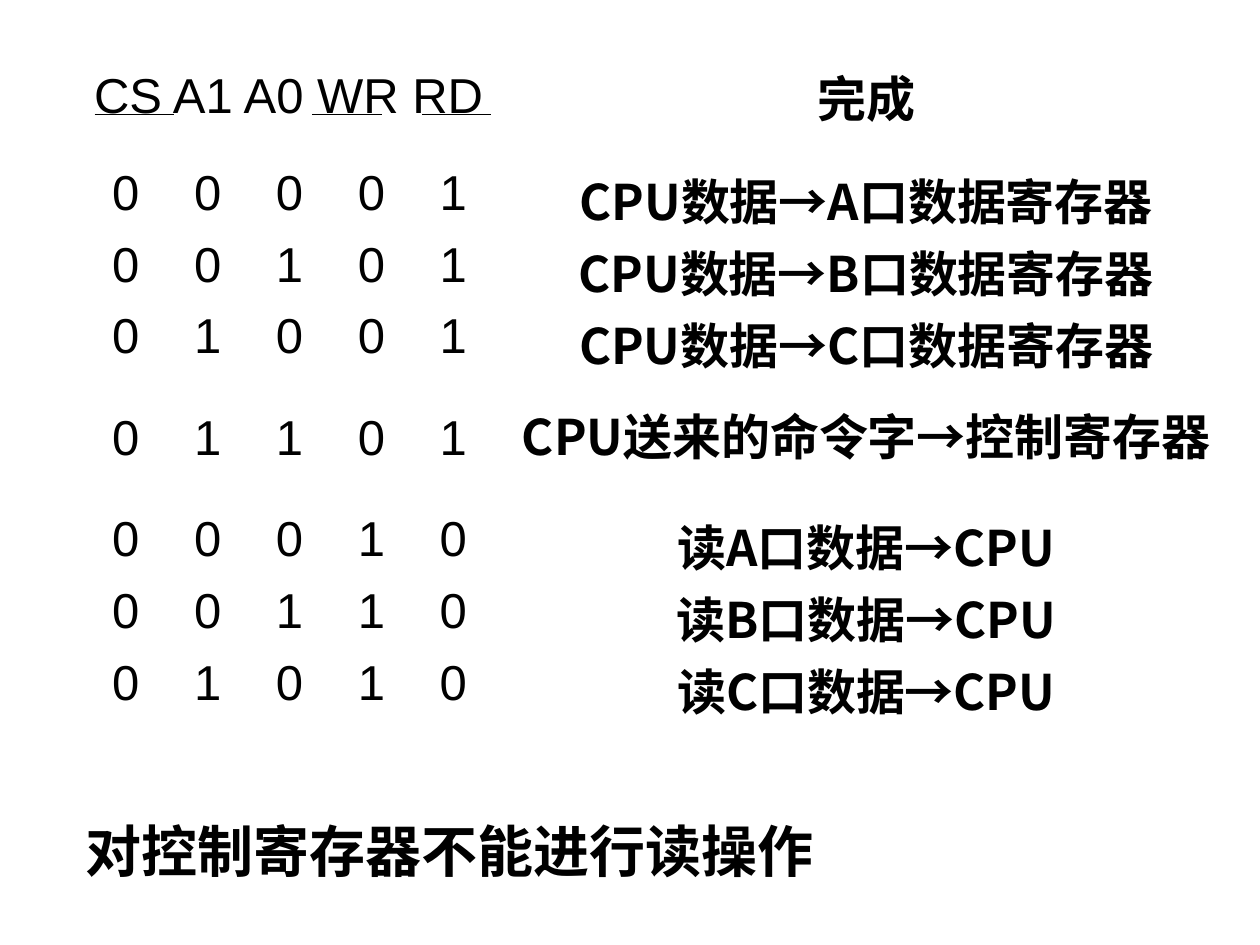
from dataclasses import dataclass

from lxml import etree
from pptx import Presentation
from pptx import util as u
from pptx.dml.color import RGBColor
from pptx.enum import shapes, text
from pptx.oxml.ns import qn


@dataclass(frozen=True)
class Theme:
    ink: str = "000000"
    border: str = "FFFFFF"
    latin: str = "Arial"
    chinese: str = "Noto Sans CJK SC"
    note: str = "Times New Roman"
    table_size: int = 28
    note_size: int = 32
    wrapped_spacing: float = 0.8
    rule_width: float = 0.75
    border_width: float = 0.34
    top_border_width: float = 1.47


class SlideBuilder:
    """Draws themed text, tables and rules on one slide."""

    def __init__(self, slide, theme):
        self.slide = slide
        self.theme = theme

    def add_run(self, paragraph, wording, size, font, bold):
        run = paragraph.add_run()
        run.text = wording
        run.font.size = u.Pt(size)
        run.font.name = font
        run.font.bold = bold
        run.font.color.rgb = RGBColor.from_string(self.theme.ink)
        east_asian = etree.Element(qn("a:ea"), typeface=self.theme.chinese)
        run.font._element.find(qn("a:latin")).addnext(east_asian)

    def add_note(self, wording, left, top, width, height):
        note = self.slide.shapes.add_textbox(*map(u.Inches, (left, top, width, height)))
        note.text_frame.word_wrap = True
        paragraph = note.text_frame.paragraphs[0]
        paragraph.alignment = text.PP_ALIGN.JUSTIFY
        self.add_run(paragraph, wording, self.theme.note_size, self.theme.note, True)

    def add_table(self, left, top, widths, heights):
        frame = self.slide.shapes.add_table(
            len(heights), len(widths), u.Inches(left), u.Inches(top),
            u.Inches(sum(widths)), u.Inches(sum(heights)))
        table = frame.table
        table.first_row = table.horz_banding = False
        for column, width in zip(table.columns, widths):
            column.width = u.Inches(width)
        for row, height in zip(table.rows, heights):
            row.height = u.Inches(height)
        return table

    def set_borders(self, cell, top_width):
        properties = cell._tc.get_or_add_tcPr()
        thin = self.theme.border_width
        for side, width in (("L", thin), ("R", thin), ("T", top_width), ("B", thin)):
            border = etree.SubElement(properties, qn("a:ln" + side), w=str(u.Pt(width)))
            fill = etree.SubElement(border, qn("a:solidFill"))
            etree.SubElement(fill, qn("a:srgbClr"), val=self.theme.border)

    def fill_cell(self, cell, wording, font, bold=False, top_width=None):
        self.set_borders(cell, top_width or self.theme.border_width)
        cell.fill.background()
        cell.vertical_anchor = text.MSO_ANCHOR.MIDDLE
        paragraph = cell.text_frame.paragraphs[0]
        paragraph.alignment = text.PP_ALIGN.CENTER
        self.add_run(paragraph, wording, self.theme.table_size, font, bold)

    def fill_bits(self, cell, bits, indent, pitch):
        self.fill_cell(cell, "\t".join(bits), self.theme.latin)
        cell.margin_left = u.Inches(indent)
        paragraph = cell.text_frame.paragraphs[0]
        paragraph.alignment = text.PP_ALIGN.LEFT
        stops = etree.SubElement(paragraph._p.get_or_add_pPr(), qn("a:tabLst"))
        for position in range(1, len(bits)):
            etree.SubElement(stops, qn("a:tab"), pos=str(u.Inches(pitch * position)), algn="l")

    def tighten_lines(self, cell):
        cell.text_frame.paragraphs[0].line_spacing = self.theme.wrapped_spacing

    def add_rule(self, left, right, y):
        rule = self.slide.shapes.add_connector(
            shapes.MSO_CONNECTOR.STRAIGHT, *map(u.Inches, (left, y, right, y)))
        rule.line.color.rgb = RGBColor.from_string(self.theme.ink)
        rule.line.width = u.Pt(self.theme.rule_width)
        etree.SubElement(rule._element.spPr, qn("a:effectLst"))


OPERATIONS = [
    ("00001", "CPU数据→A口数据寄存器"),
    ("00101", "CPU数据→B口数据寄存器"),
    ("01001", "CPU数据→C口数据寄存器"),
    ("01101", "CPU送来的命令字→控制寄存器"),
    ("00010", "读A口数据→CPU"),
    ("00110", "读B口数据→CPU"),
    ("01010", "读C口数据→CPU"),
]
COMMAND_ROW = 4
ACTIVE_LOW_SIGNALS = [(0.75, 1.38), (2.48, 3.03), (3.35, 3.9)]


def main():
    deck = Presentation()
    deck.slide_width, deck.slide_height = u.Inches(10), u.Inches(7.5)
    theme = Theme()
    builder = SlideBuilder(deck.slides.add_slide(deck.slide_layouts[6]), theme)

    builder.add_note("对控制寄存器不能进行读操作", 0.58, 6.43, 6.67, 0.64)

    heights = [0.97] + [0.57] * 3 + [1.04] + [0.57] * 3
    table = builder.add_table(0.58, 0.28, [3.42, 5.75], heights)
    top_width = theme.top_border_width
    builder.fill_cell(table.cell(0, 0), "CS A1 A0 WR RD", theme.latin, top_width=top_width)
    builder.fill_cell(table.cell(0, 1), "完成", theme.latin, True, top_width)
    for row, (bits, operation) in enumerate(OPERATIONS, start=1):
        builder.fill_bits(table.cell(row, 0), bits, indent=0.31, pitch=0.65)
        builder.fill_cell(table.cell(row, 1), operation, theme.chinese, True)
    builder.tighten_lines(table.cell(COMMAND_ROW, 1))

    for left, right in ACTIVE_LOW_SIGNALS:
        builder.add_rule(left, right, 0.91)

    deck.save("out.pptx")


if __name__ == "__main__":
    main()
